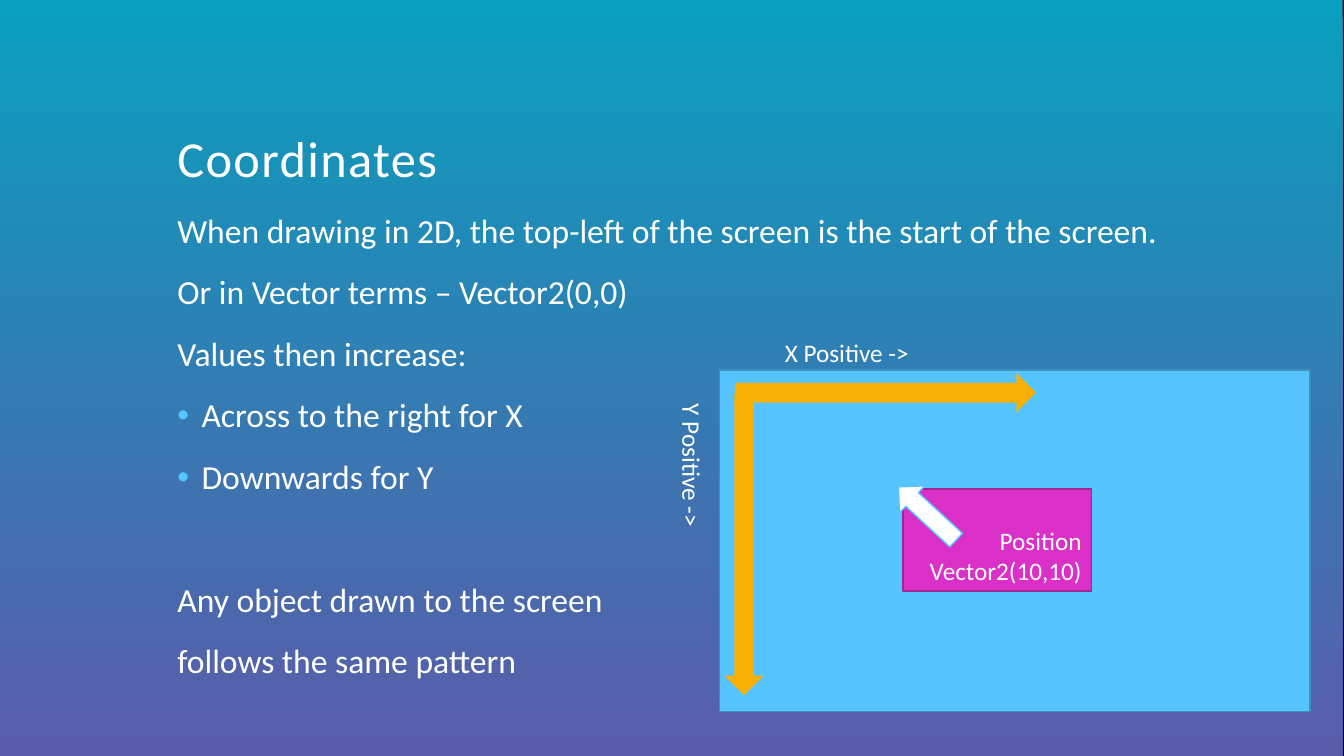
import pptx
import pptx.util
import pptx.dml.color
import pptx.enum.shapes
import pptx.enum.text
import pptx.oxml
import pptx.oxml.ns

Cm, Pt = pptx.util.Cm, pptx.util.Pt
RGBColor = pptx.dml.color.RGBColor
SHAPE = pptx.enum.shapes.MSO_SHAPE
ANCHOR = pptx.enum.text.MSO_ANCHOR
ALIGN = pptx.enum.text.PP_ALIGN
AUTO = pptx.enum.text.MSO_AUTO_SIZE

# Content
TITLE = "Coordinates"
BODY = [  # text, bulleted, space before in points
    ("When drawing in 2D, the top-left of the screen is the start of the screen.", False, 18),
    ("Or in Vector terms – Vector2(0,0)", False, 18),
    ("Values then increase:", False, 18),
    ("Across to the right for X", True, 18),
    ("Downwards for Y", True, 18),
    ("Any object drawn to the screen", False, 62),
    ("follows the same pattern", False, 18),
]
AXIS_LABELS = [  # text, place, text direction
    ("X Positive ->", (19.53, 8.38, 3.76, 1.02), "horz"),
    ("Y Positive ->", (16.69, 9.93, 1.27, 3.51), "eaVert"),
]
POSITION = ["Position", "Vector2(10,10)"]

# Colours
BLACK = RGBColor(0x00, 0x00, 0x00)
WHITE = RGBColor(0xFF, 0xFF, 0xFF)
TEAL = RGBColor(0x09, 0x9F, 0xBE)
VIOLET = RGBColor(0x5A, 0x5C, 0xA9)
SKY = RGBColor(0x56, 0xC5, 0xFF)
SKY_EDGE = RGBColor(0x40, 0x92, 0xBD)
AMBER = RGBColor(0xF8, 0xB0, 0x04)
MAGENTA = RGBColor(0xDB, 0x30, 0xC7)
MAGENTA_EDGE = RGBColor(0xA2, 0x24, 0x93)

deck = pptx.Presentation()
deck.slide_width, deck.slide_height = Cm(33.87), Cm(19.05)
page = deck.slides.add_slide(deck.slide_layouts[6])
page.background.fill.solid()
page.background.fill.fore_color.rgb = BLACK


def add_block(kind, place, fill=None, edge=None, turn=0):
    block = page.shapes.add_shape(kind, *map(Cm, place))
    block.shadow.inherit = False
    block.rotation = turn
    if fill is not None:
        block.fill.solid()
        block.fill.fore_color.rgb = fill
    if edge is None:
        block.line.fill.background()
    else:
        block.line.color.rgb = edge
        block.line.width = Pt(1)
    return block


def add_text(place, wrap=True):
    box = page.shapes.add_textbox(*map(Cm, place))
    box.text_frame.word_wrap = wrap
    return box


def style(para, size):
    para.font.size = Pt(size)
    para.font.name = "Calibri"
    para.font.color.rgb = WHITE


def add_bullet(properties):
    properties.set("marL", str(Cm(0.61)))
    properties.set("indent", str(-Cm(0.61)))
    namespace = pptx.oxml.ns.nsdecls("a")
    font = properties.find(pptx.oxml.ns.qn("a:defRPr"))
    for xml in (f'<a:buClr {namespace}><a:srgbClr val="{SKY}"/></a:buClr>',
                f'<a:buFont {namespace} typeface="Arial"/>',
                f'<a:buChar {namespace} char="•"/>'):
        font.addprevious(pptx.oxml.parse_xml(xml))


# Gradient backdrop
backdrop = add_block(SHAPE.RECTANGLE, (-0.03, 0, 33.87, 19.05))
backdrop.fill.gradient()
backdrop.fill.gradient_angle = 270
for stop, position, colour in zip(backdrop.fill.gradient_stops, (0, 1), (TEAL, VIOLET)):
    stop.position = position
    stop.color.rgb = colour

# Title
title = add_text((4.22, 1.07, 25.4, 3.81))
title.text_frame.vertical_anchor = ANCHOR.BOTTOM
para = title.text_frame.paragraphs[0]
para.text = TITLE
para.line_spacing = 0.9
style(para, 36)
title.element.xpath(".//a:defRPr")[0].set("spc", "100")

# Body text
body = add_text((4.22, 5.28, 25.37, 12.83))
for number, (text, bulleted, gap) in enumerate(BODY):
    frame = body.text_frame
    para = frame.add_paragraph() if number else frame.paragraphs[0]
    para.text = text
    para.line_spacing = 0.9
    para.space_before = Pt(gap)
    style(para, 24)
    if bulleted:
        add_bullet(body.element.xpath(".//a:pPr")[number])

# Screen with its two axis arrows
add_block(SHAPE.RECTANGLE, (18.14, 9.32, 14.88, 8.61), SKY, SKY_EDGE)
add_block(SHAPE.DOWN_ARROW, (18.26, 9.93, 0.99, 7.59), AMBER)
add_block(SHAPE.DOWN_ARROW, (21.82, 6.1, 0.99, 7.59), AMBER, turn=270)

# Axis labels
for text, place, direction in AXIS_LABELS:
    label = add_text(place, wrap=False)
    label.text_frame.auto_size = AUTO.SHAPE_TO_FIT_TEXT
    label.element.txBody.bodyPr.set("vert", direction)
    para = label.text_frame.paragraphs[0]
    para.text = text
    style(para, 18)

# Drawn object and the pointer to its top-left corner
drawn = add_block(SHAPE.RECTANGLE, (22.76, 12.32, 4.75, 2.57), MAGENTA, MAGENTA_EDGE)
drawn.text_frame.vertical_anchor = ANCHOR.BOTTOM
para = drawn.text_frame.paragraphs[0]
para.text = "\v".join(POSITION)
para.alignment = ALIGN.RIGHT
style(para, 18)
add_block(SHAPE.LEFT_ARROW, (22.38, 12.47, 1.98, 0.94), WHITE, SKY, turn=42.7)

deck.save("out.pptx")
